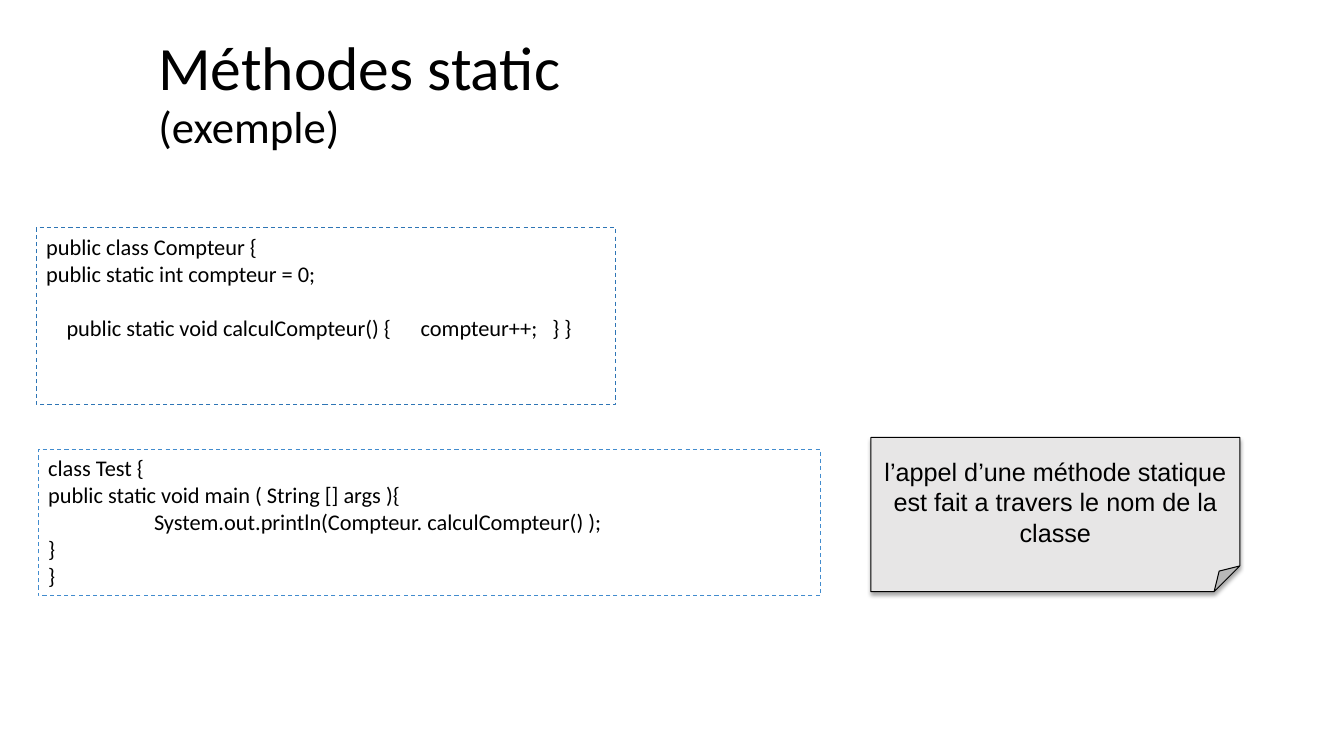
from dataclasses import dataclass

from lxml.etree import SubElement
from pptx import Presentation
from pptx.dml.color import RGBColor
from pptx.enum.dml import MSO_LINE
from pptx.enum.shapes import MSO_SHAPE
from pptx.enum.text import MSO_ANCHOR, MSO_AUTO_SIZE, PP_ALIGN
from pptx.oxml.ns import qn
from pptx.shapes.autoshape import Shape
from pptx.slide import Slide
from pptx.text.text import TextFrame, _Paragraph
from pptx.util import Pt

COLOURS = {
    "black": "000000",
    "class_border": "2E75B5",
    "test_border": "428CCE",
    "note_fill": "E7E6E6",
}
CODE_SIZE = 16
BLANK_LINE = 19.5


@dataclass(frozen=True)
class CodeLine:
    text: str
    tab_stops: tuple[float, ...] = ()
    space_before: float = 0


@dataclass(frozen=True)
class CodeBox:
    left: float
    top: float
    width: float
    height: float
    border: str
    lines: tuple[CodeLine, ...]


CODE_BOXES = (
    CodeBox(27.36, 321.12, 558.72, 104.4, "test_border", (
        CodeLine("class Test {"),
        CodeLine("public static void main ( String [] args ){"),
        CodeLine("\tSystem.out.println(Compteur. calculCompteur() );", (75.6,)),
        CodeLine("}"),
        CodeLine("}"),
    )),
    CodeBox(25.92, 162.72, 414, 126, "class_border", (
        CodeLine("public class Compteur {"),
        CodeLine("public static int compteur = 0;"),
        CodeLine("\tpublic static void calculCompteur() {\tcompteur++;\t} }",
                 (14.5, 267.5, 361.5), BLANK_LINE),
    )),
)


def colour(name: str) -> RGBColor:
    return RGBColor.from_string(COLOURS[name])


def format_runs(para: _Paragraph, font: str, size: float) -> None:
    for span in para.runs:
        span.font.name = font
        span.font.size = Pt(size)
        span.font.color.rgb = colour("black")


def prepare_frame(frame: TextFrame, anchor: MSO_ANCHOR) -> None:
    frame.word_wrap = True
    frame.auto_size = MSO_AUTO_SIZE.NONE
    frame.vertical_anchor = anchor
    frame.margin_left = frame.margin_right = Pt(7.2)
    frame.margin_top = frame.margin_bottom = Pt(3.6)


def add_tab_stops(para: _Paragraph, stops: tuple[float, ...]) -> None:
    tab_list = SubElement(para._p.get_or_add_pPr(), qn("a:tabLst"))
    for stop in stops:
        SubElement(tab_list, qn("a:tab"), pos=str(Pt(stop)), algn="l")


def add_soft_shadow(box: Shape) -> None:
    """Put a faint shadow straight below the box."""
    box.shadow.inherit = False
    effects = box._element.spPr.find(qn("a:effectLst"))
    shadow = SubElement(effects, qn("a:outerShdw"), blurRad=str(Pt(3.1)),
                        dist=str(Pt(1.8)), dir="5400000", rotWithShape="0")
    tint = SubElement(shadow, qn("a:srgbClr"), val=COLOURS["black"])
    SubElement(tint, qn("a:alpha"), val="35000")


def add_title(page: Slide) -> None:
    title = page.shapes.title
    title.left, title.top = Pt(105.84), Pt(23.04)
    title.width, title.height = Pt(458.64), Pt(90)
    frame = title.text_frame
    frame.text = "Méthodes static\v(exemple)"
    prepare_frame(frame, MSO_ANCHOR.MIDDLE)
    para = frame.paragraphs[0]
    para.alignment = PP_ALIGN.LEFT
    para.line_spacing = 0.9
    format_runs(para, "Calibri", 44)
    para.runs[-1].font.size = Pt(32)


def add_code_box(page: Slide, code: CodeBox) -> None:
    box = page.shapes.add_shape(MSO_SHAPE.RECTANGLE, Pt(code.left), Pt(code.top),
                                Pt(code.width), Pt(code.height))
    box.shadow.inherit = False
    box.fill.background()
    box.line.color.rgb = colour(code.border)
    box.line.width = Pt(0.75)
    box.line.dash_style = MSO_LINE.DASH
    frame = box.text_frame
    prepare_frame(frame, MSO_ANCHOR.TOP)
    frame.text = "\n".join(line.text for line in code.lines)
    for para, line in zip(frame.paragraphs, code.lines):
        para.alignment = PP_ALIGN.LEFT
        para.space_before = Pt(line.space_before)
        if line.tab_stops:
            add_tab_stops(para, line.tab_stops)
        format_runs(para, "Calibri", CODE_SIZE)


def add_note(page: Slide) -> None:
    note = page.shapes.add_shape(MSO_SHAPE.FOLDED_CORNER, Pt(622.08), Pt(312.48),
                                 Pt(263.52), Pt(110.16))
    note.fill.solid()
    note.fill.fore_color.rgb = colour("note_fill")
    note.line.color.rgb = colour("black")
    note.line.width = Pt(0.75)
    add_soft_shadow(note)
    frame = note.text_frame
    prepare_frame(frame, MSO_ANCHOR.MIDDLE)
    frame.text = "l’appel d’une méthode statique est fait a travers le nom de la classe"
    para = frame.paragraphs[0]
    para.alignment = PP_ALIGN.CENTER
    format_runs(para, "Arial", 18)


def main() -> None:
    deck = Presentation()
    deck.slide_width, deck.slide_height = Pt(960), Pt(540)
    page = deck.slides.add_slide(deck.slide_layouts.get_by_name("Title Only"))
    add_title(page)
    for code in CODE_BOXES:
        add_code_box(page, code)
    add_note(page)
    deck.save("out.pptx")


if __name__ == "__main__":
    main()
